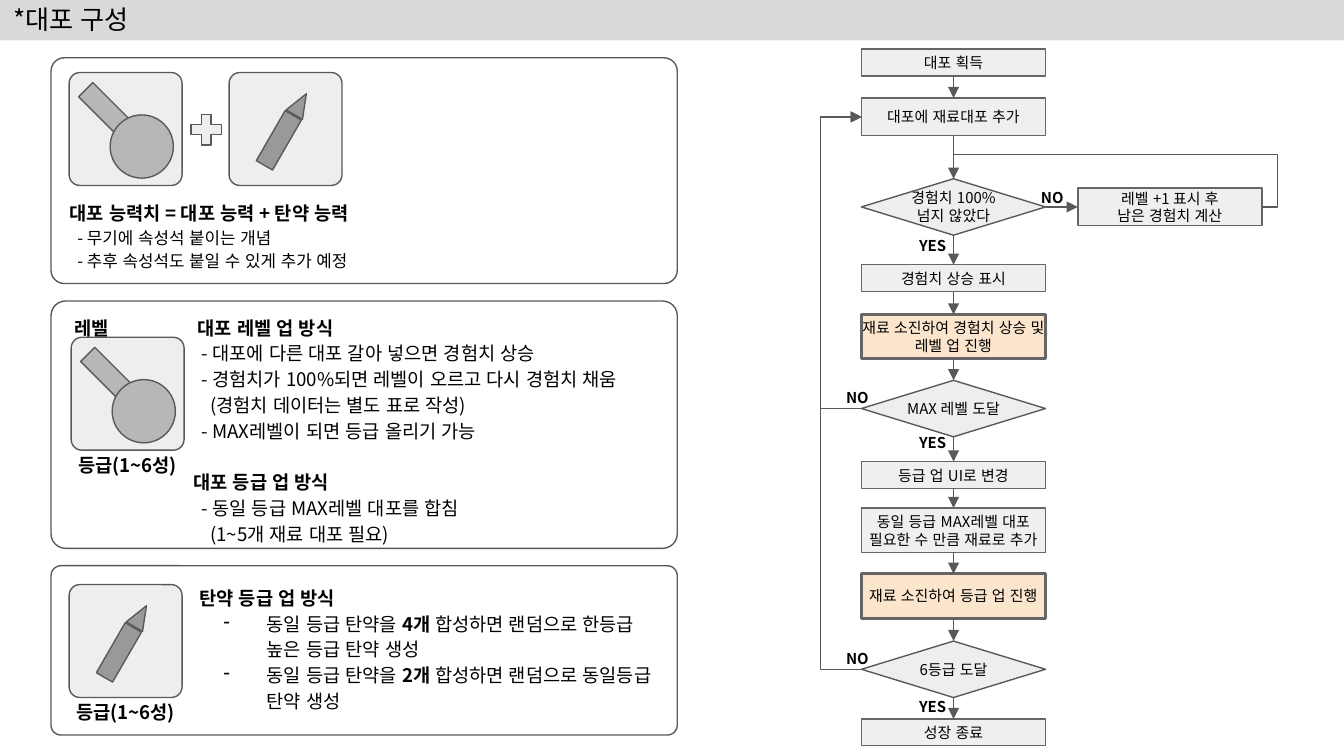
from typing import NamedTuple

from lxml.etree import SubElement
from pptx import Presentation
from pptx.dml.color import RGBColor
from pptx.enum.lang import MSO_LANGUAGE_ID
from pptx.enum.shapes import MSO_CONNECTOR, MSO_SHAPE
from pptx.enum.text import MSO_ANCHOR, PP_ALIGN
from pptx.oxml.ns import qn
from pptx.util import Inches, Pt

WIDE = Inches(10)
HIGH = WIDE * 9 // 16
COL, ROW = WIDE / 100, HIGH / 56.25
FONT = "Noto Sans CJK KR"

BLACK = RGBColor(0, 0, 0)
BAND = RGBColor(0xD9, 0xD9, 0xD9)
EDGE = RGBColor(0x59, 0x59, 0x59)
RIM = RGBColor(0x66, 0x66, 0x66)
PALE = RGBColor(0xEE, 0xEE, 0xEE)
STEP = RGBColor(0xEF, 0xEF, 0xEF)
PEACH = RGBColor(0xFC, 0xE5, 0xCD)
GUN = RGBColor(0xB7, 0xB7, 0xB7)
SHELL = RGBColor(0x99, 0x99, 0x99)

LEFT, SPAN = 64.1, 13.7
MID = LEFT + SPAN / 2
TILE = 8.4


class Line(NamedTuple):
    text: str
    size: float = 10
    bold: bool = False
    pad: float = 0
    gap: float = 0
    dash: bool = False


STEPS = [
    ("대포 획득", 3.65, 2, "step"),
    ("대포에 재료대포 추가", 7.3, 2.8, "step"),
    ("경험치 100%\n넘지 않았다", 13.3, 4.2, "test"),
    ("경험치 상승 표시", 19.7, 2, "step"),
    ("재료 소진하여 경험치 상승 및 레벨 업 진행", 23.4, 3.3, "key"),
    ("MAX 레벨 도달", 28.3, 4.2, "test"),
    ("등급 업 UI로 변경", 34.35, 2, "step"),
    ("동일 등급 MAX레벨 대포 필요한 수 만큼 재료로 추가", 37.8, 3.3, "step"),
    ("재료 소진하여 등급 업 진행", 42.7, 3.3, "key"),
    ("6등급 도달", 47.7, 4.2, "test"),
    ("성장 종료", 53.5, 2, "step"),
]
POWER = [
    Line("대포 능력치 = 대포 능력 + 탄약 능력", bold=True),
    Line("- 무기에 속성석 붙이는 개념", 9, pad=0.56),
    Line("- 추후 속성석도 붙일 수 있게 추가 예정", 9, pad=0.56),
]
LEVEL = [
    Line("대포 레벨 업 방식", bold=True, pad=0.31),
    Line("- 대포에 다른 대포 갈아 넣으면 경험치 상승", pad=0.62),
    Line("- 경험치가 100%되면 레벨이 오르고 다시 경험치 채움", pad=0.62),
    Line("(경험치 데이터는 별도 표로 작성)", pad=1.24),
    Line("- MAX레벨이 되면 등급 올리기 가능", pad=0.62),
    Line("대포 등급 업 방식", bold=True, gap=13.8),
    Line("- 동일 등급 MAX레벨 대포를 합침", pad=0.62),
    Line("(1~5개 재료 대포 필요)", pad=1.24),
]
AMMO = [
    Line("탄약 등급 업 방식", bold=True),
    Line("동일 등급 탄약을 |4개| 합성하면 랜덤으로 한등급 높은 등급 탄약 생성", dash=True),
    Line("동일 등급 탄약을 |2개| 합성하면 랜덤으로 동일등급 탄약 생성", dash=True),
]


def place(x, y, w, h):
    return round(x * COL), round(y * ROW), round(w * COL), round(h * ROW)


def shape(slide, kind, area, fill=None, edge=EDGE, width=0.75, turn=0, bend=None):
    item = slide.shapes.add_shape(kind, *place(*area))
    item.shadow.inherit = False
    if fill is None:
        item.fill.background()
    else:
        item.fill.solid()
        item.fill.fore_color.rgb = fill
    if edge is None:
        item.line.fill.background()
    else:
        item.line.color.rgb = edge
        item.line.width = Pt(width)
    item.rotation = turn
    if bend is not None:
        item.adjustments[0] = bend
    return item


def indent(para, line):
    props = para._p.get_or_add_pPr()
    if line.dash:
        props.set("marL", str(round(5 * COL)))
        props.set("indent", str(round(-3.2 * COL)))
        tint = SubElement(props, qn("a:buClr"))
        SubElement(tint, qn("a:srgbClr"), val=str(BLACK))
        SubElement(props, qn("a:buChar"), char="-")
    elif line.pad:
        props.set("marL", str(round(line.pad * COL)))


def style(para, line):
    font = para.font
    font.name, font.size, font.bold = FONT, Pt(line.size), line.bold
    font.color.rgb = BLACK
    font.language_id = MSO_LANGUAGE_ID.KOREAN
    props = para._p.pPr.find(qn("a:defRPr"))
    props.set("kern", "0")
    SubElement(props, qn("a:ea"), typeface=FONT)


def write(item, lines, align=PP_ALIGN.LEFT, anchor=MSO_ANCHOR.MIDDLE, side=0, pitch=None):
    frame = item.text_frame
    frame.word_wrap = True
    frame.vertical_anchor = anchor
    frame.margin_left = frame.margin_right = round(side * COL)
    frame.margin_top = frame.margin_bottom = 0
    for i, line in enumerate(lines):
        para = frame.add_paragraph() if i else frame.paragraphs[0]
        indent(para, line)
        para.alignment = align
        if pitch:
            para.line_spacing = pitch
        if line.gap:
            para.space_before = Pt(line.gap)
        style(para, line)
        for n, part in enumerate(line.text.split("|")):
            run = para.add_run()
            run.text = part
            if n % 2:
                run.font.bold = True


def note(slide, area, lines, align=PP_ALIGN.LEFT):
    box = slide.shapes.add_textbox(*place(*area))
    write(box, lines, align, MSO_ANCHOR.TOP, pitch=1.15)


def label(slide, area, text, bold=False):
    box = slide.shapes.add_textbox(*place(*area))
    write(box, [Line(part, 8, bold) for part in text.split("\n")], PP_ALIGN.CENTER)


def link(slide, x, y, x2, y2, kind=MSO_CONNECTOR.STRAIGHT, arrow=True):
    item = slide.shapes.add_connector(kind, *place(x, y, x2, y2))
    item.line.color.rgb = EDGE
    item.line.width = Pt(0.75)
    if arrow:
        SubElement(item.line._get_or_add_ln(), qn("a:tailEnd"), type="triangle")
    SubElement(item._element.spPr, qn("a:effectLst"))
    return item


def elbow(slide, ends, name, bends, arrow):
    props = link(slide, *ends, MSO_CONNECTOR.ELBOW, arrow)._element.spPr
    props.find(qn("a:xfrm")).set("rot", "10800000")
    geom = props.find(qn("a:prstGeom"))
    geom.set("prst", name)
    guides = geom.find(qn("a:avLst"))
    if guides is None:
        guides = SubElement(geom, qn("a:avLst"))
    for i, bend in enumerate(bends, 1):
        SubElement(guides, qn("a:gd"), name=f"adj{i}", fmla=f"val {round(bend * 100000)}")


def tile(slide, x, y):
    shape(slide, MSO_SHAPE.ROUNDED_RECTANGLE, (x, y, TILE, TILE), PALE, bend=0.095)


def cannon(slide, x, y):
    tile(slide, x, y)
    shape(slide, MSO_SHAPE.RECTANGLE, (x + 2.35, y + 0.5, 1.5, 5.3), GUN, turn=315)
    shape(slide, MSO_SHAPE.OVAL, (x + 3.05, y + 3.15, 4.7, 4.7), GUN, turn=315)


def bullet(slide, x, y):
    tile(slide, x, y)
    shape(slide, MSO_SHAPE.RECTANGLE, (x + 3, y + 2.9, 1.4, 4.3), SHELL, turn=30)
    shape(slide, MSO_SHAPE.ISOSCELES_TRIANGLE, (x + 4.6, y + 1.45, 1.4, 1.8), SHELL, turn=30)


def step(slide, x, y, h, text, key=False):
    item = shape(slide, MSO_SHAPE.RECTANGLE, (x, y, SPAN, h),
                 PEACH if key else STEP, RIM, 1.5 if key else 0.75)
    write(item, [Line(part, 8) for part in text.split("\n")], PP_ALIGN.CENTER)


def panels(slide):
    for y, h in ((4.3, 16.8), (22.4, 18.4), (42.1, 12.6)):
        shape(slide, MSO_SHAPE.ROUNDED_RECTANGLE, (3.8, y, 46.6, h), bend=0.059)
    cannon(slide, 5.15, 5.4)
    bullet(slide, 17.05, 5.4)
    shape(slide, MSO_SHAPE.MATH_PLUS, (13.8, 8.1, 3.1, 3.1), PALE, bend=0.235)
    note(slide, (5.2, 14.8, 22.6, 5.3), POWER)
    cannon(slide, 5.3, 25.1)
    note(slide, (5.2, 23.3, 4.8, 2.2), [Line("레벨", bold=True, pad=0.31)])
    note(slide, (14.4, 23.3, 34.1, 17.5), LEVEL)
    bullet(slide, 5.15, 43.5)
    note(slide, (14.85, 43.4, 33.6, 10.2), AMMO)
    for x, y in ((5.3, 33.5), (5.15, 51.9)):
        note(slide, (x, y, TILE, 2.2), [Line("등급(1~6성)", bold=True)], PP_ALIGN.CENTER)


def flow(slide):
    for text, y, h, kind in STEPS:
        if kind == "test":
            shape(slide, MSO_SHAPE.DIAMOND, (LEFT, y, SPAN, h), PALE)
            label(slide, (LEFT + 0.6, y + 0.45, 12.5, 3.3), text)
        else:
            step(slide, LEFT, y, h, text, kind == "key")
    for (_, y, h, _), (_, after, _, _) in zip(STEPS, STEPS[1:]):
        link(slide, MID, y + h, MID, after)
    step(slide, 80.2, 14, 2.8, "레벨 +1 표시 후\n남은 경험치 계산")
    link(slide, LEFT + SPAN, 15.4, 80.2, 15.4)
    elbow(slide, (MID, 13.3, 80.2 + SPAN, 15.4), "bentConnector4", (-0.05, 1.86), False)
    for y in (30.4, 49.8):
        elbow(slide, (LEFT + 0.01, 8.7, LEFT, y), "bentConnector3", (-260,), True)
    for x, y in ((77.1, 13.9), (62.6, 28.8), (62.6, 48.2)):
        label(slide, (x, y, 2.4, 1.6), "NO", True)
    for y in (17.5, 32.1, 51.8):
        label(slide, (68.2, y, 2.4, 1.6), "YES", True)


def main():
    deck = Presentation()
    deck.slide_width, deck.slide_height = WIDE, HIGH
    slide = deck.slides.add_slide(deck.slide_layouts[6])
    title = shape(slide, MSO_SHAPE.RECTANGLE, (0, -0.1, 100, 3.1), BAND, None)
    write(title, [Line("*대포 구성", 14)], side=1)
    panels(slide)
    flow(slide)
    deck.save("out.pptx")


if __name__ == "__main__":
    main()
